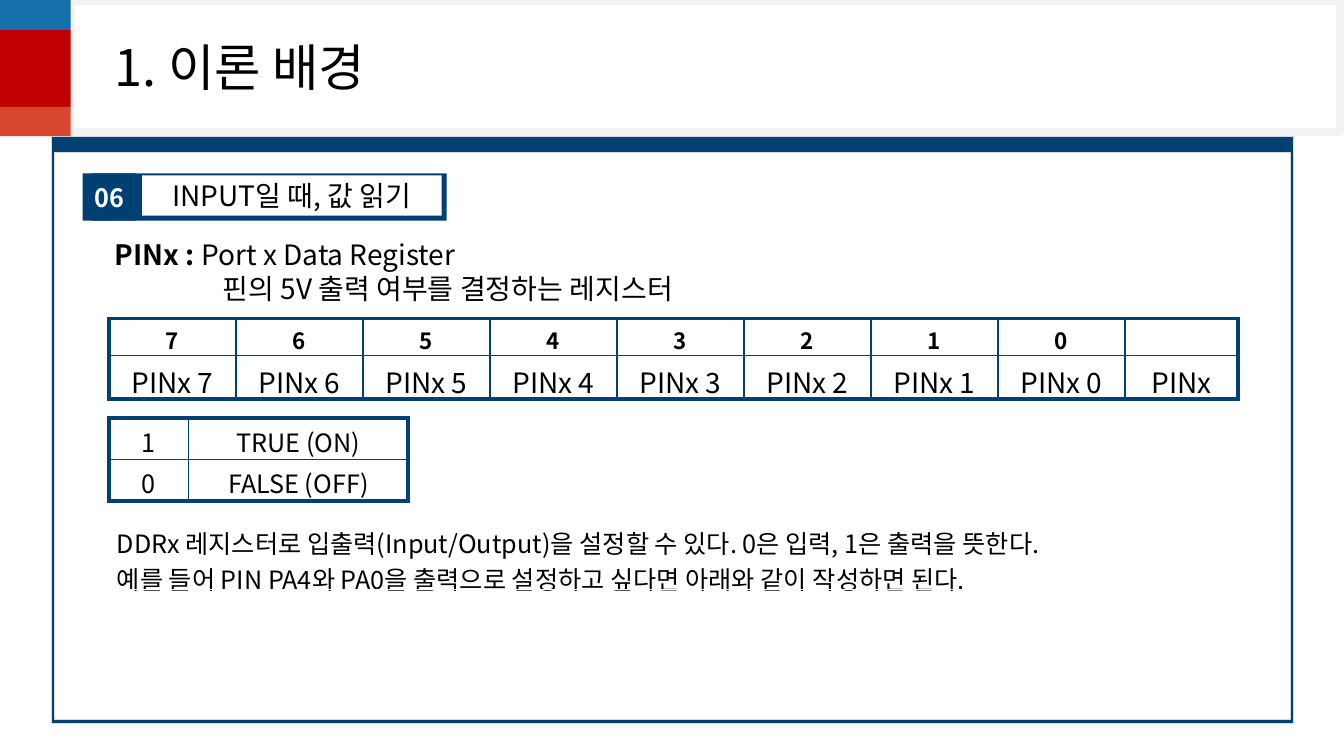
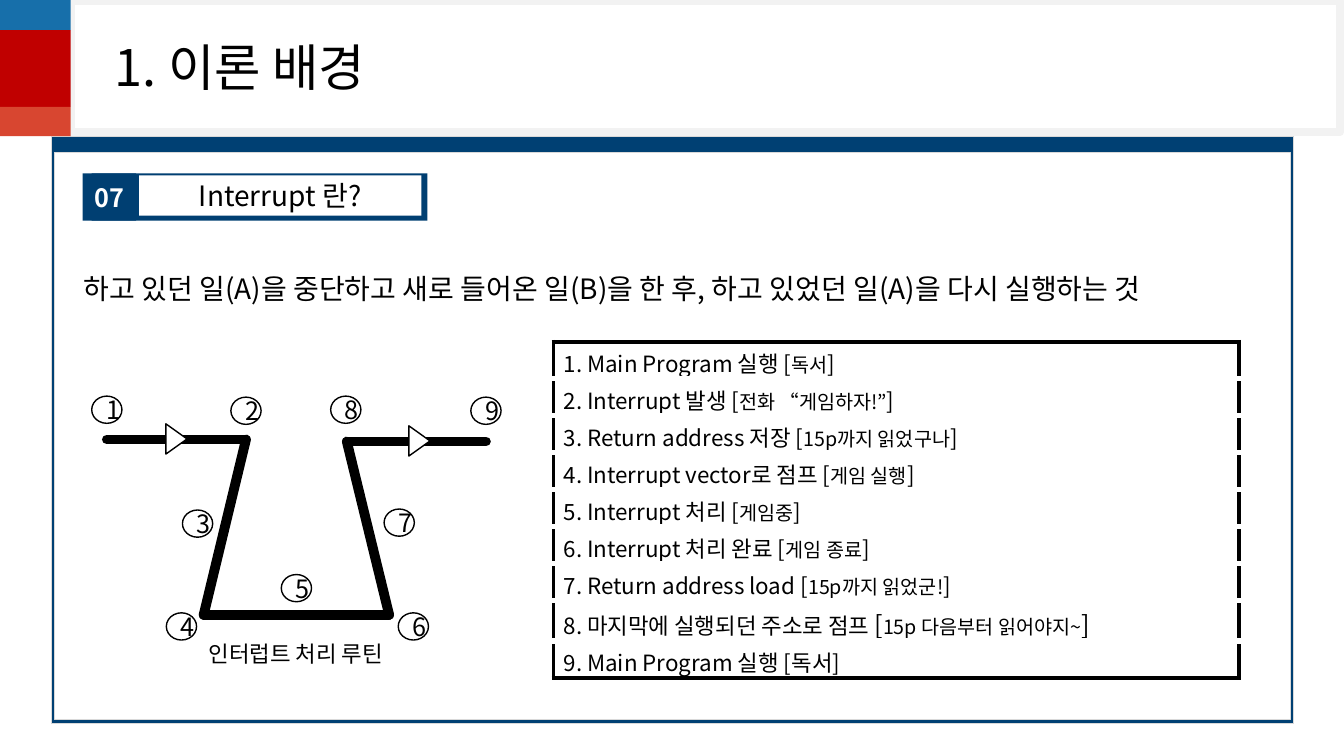
from itertools import pairwise

from lxml.etree import SubElement
from pptx import Presentation
from pptx.dml.color import RGBColor
from pptx.enum.shapes import MSO_CONNECTOR, MSO_SHAPE
from pptx.enum.text import MSO_ANCHOR, PP_ALIGN
from pptx.oxml.ns import qn
from pptx.util import Inches, Pt

FONT = "Noto Sans CJK KR"
COLORS = {
    "black": "000000", "white": "FFFFFF", "navy": "004073", "label": "003F72",
    "blue": "176FAA", "red": "C00000", "orange": "D84630",
    "title_line": "F2F2F2", "panel_line": "D9D9D9",
}


def color(name):
    return RGBColor.from_string(COLORS[name])


def write(para, spans, ink="black", align=PP_ALIGN.LEFT):
    """Fill a paragraph with spans given as (text, size) or (text, size, bold)."""
    para.alignment = align
    for text, size, *bold in spans:
        if not text:
            SubElement(para._p, qn("a:endParaRPr"), sz=str(size * 100))
            continue
        span = para.add_run()
        span.text = text
        span.font.size = Pt(size)
        span.font.bold = bool(bold and bold[0])
        span.font.color.rgb = color(ink)
        span.font.name = FONT
        SubElement(span.font._element, qn("a:ea"), typeface=FONT)


def add_box(page, place, fill=None, line=None, width=1, kind=MSO_SHAPE.RECTANGLE):
    box = page.shapes.add_shape(kind, *map(Inches, place))
    box.shadow.inherit = False
    if fill:
        box.fill.solid()
        box.fill.fore_color.rgb = color(fill)
    else:
        box.fill.background()
    if line:
        box.line.color.rgb = color(line)
        box.line.width = Pt(width)
    else:
        box.line.fill.background()
    box.text_frame.vertical_anchor = MSO_ANCHOR.MIDDLE
    return box


def add_text(page, place, anchor=MSO_ANCHOR.TOP):
    frame = page.shapes.add_textbox(*map(Inches, place)).text_frame
    frame.word_wrap = True
    frame.vertical_anchor = anchor
    return frame


def add_stroke(page, start, end):
    stroke = page.shapes.add_connector(
        MSO_CONNECTOR.STRAIGHT, *map(Inches, start + end))
    stroke.line.color.rgb = color("black")
    stroke.line.width = Pt(7)
    stroke.line._get_or_add_ln().set("cap", "rnd")
    SubElement(stroke._element.spPr, qn("a:effectLst"))


def set_borders(cell, borders):
    """Draw the left, right, top and bottom borders, each (colour, points)."""
    properties = cell._tc.get_or_add_tcPr()
    for side, (ink, width) in zip("LRTB", borders):
        line = SubElement(properties, qn(f"a:ln{side}"), w=str(Pt(width)))
        fill = SubElement(line, qn("a:solidFill"))
        SubElement(fill, qn("a:srgbClr"), val=COLORS[ink])


def add_grid(page, corner, columns, heights, rows, outer, inner,
             align=PP_ALIGN.CENTER, anchors=None):
    """Add a table; each cell is a list of paragraphs, each a list of spans."""
    size = (sum(columns), sum(heights))
    table = page.shapes.add_table(
        len(rows), len(columns), *map(Inches, corner + size)).table
    table.first_row = table.horz_banding = False
    for column, width in zip(table.columns, columns):
        column.width = Inches(width)
    last_row, last_column = len(rows) - 1, len(columns) - 1
    for r, row in enumerate(rows):
        table.rows[r].height = Inches(heights[r])
        for c, paragraphs in enumerate(row):
            cell = table.cell(r, c)
            if anchors:
                cell.vertical_anchor = anchors[r]
            edges = (c == 0, c == last_column, r == 0, r == last_row)
            set_borders(cell, [outer if edge else inner for edge in edges])
            cell.fill.background()
            frame = cell.text_frame
            for i, spans in enumerate(paragraphs):
                para = frame.add_paragraph() if i else frame.paragraphs[0]
                write(para, spans, align=align)


def add_page(deck, number, heading, label_width, heading_place):
    """Add a page with the title band, panel, colour strip and section label."""
    page = deck.slides.add_slide(deck.slide_layouts[6])
    add_box(page, (0.51, 1.35, 12.32, 5.83), "navy", "panel_line", 0.25)
    add_box(page, (0.54, 1.51, 12.26, 5.63), "white", "panel_line", 0.25)
    title = add_box(page, (0.7, 0.01, 12.59, 1.3), "white", "title_line", 6)
    title.text_frame.margin_left = Inches(0.44)
    write(title.text_frame.paragraphs[0], [("1. 이론 배경", 36)])

    add_box(page, (0.91, 1.72, label_width, 0.47), "label")
    left, width = heading_place
    name = add_box(page, (left, 1.74, width, 0.4), "white")
    write(name.text_frame.paragraphs[0], [(heading, 20)], align=PP_ALIGN.CENTER)
    badge = add_box(page, (0.82, 1.72, 0.53, 0.47), "label")
    write(badge.text_frame.paragraphs[0], [(number, 18, True)], "white",
          PP_ALIGN.CENTER)

    top = -0.01
    for fill, height in (("blue", 0.31), ("red", 0.76), ("orange", 0.29)):
        add_box(page, (-0.01, top, 0.71, height), fill)
        top += height
    return page


def add_register_page(deck):
    page = add_page(deck, "06", "INPUT일 때, 값 읽기", 3.52, (1.41, 2.97))
    frame = add_text(page, (1.04, 2.31, 6.67, 0.77))
    write(frame.paragraphs[0], [("PINx : ", 20, True), ("Port x Data Register", 20)])
    meaning = frame.add_paragraph()
    write(meaning, [("핀의 5V 출력 여부를 결정하는 레지스터", 20)])
    indent = str(Inches(1.07))
    meaning._p.get_or_add_pPr().set("marL", indent)

    outer, inner = ("navy", 3), ("navy", 1)
    states = [("1", "TRUE (ON)"), ("0", "FALSE (OFF)")]
    add_grid(page, (1.08, 4.15), [0.79, 2.18], [0.41] * 2,
             [[[[(text, 18)]] for text in row] for row in states], outer, inner)

    bits = [str(bit) for bit in range(7, -1, -1)]
    header = [[[(bit, 16, True)]] for bit in bits + [""]]
    pins = [[[(pin, 20)]] for pin in [f"PINx {bit}" for bit in bits] + ["PINx"]]
    add_grid(page, (1.08, 3.16), [1.26] * 8 + [1.12], [0.36, 0.43],
             [header, pins], outer, inner,
             anchors=(MSO_ANCHOR.BOTTOM, MSO_ANCHOR.TOP))

    notes = [
        "DDRx 레지스터로 입출력(Input/Output)을 설정할 수 있다. 0은 입력, 1은 출력을 뜻한다.",
        "예를 들어 PIN PA4와 PA0을 출력으로 설정하고 싶다면 아래와 같이 작성하면 된다.",
    ]
    add_grid(page, (1.06, 5.15), [11.22], [0.7],
             [[[[(note, 18)] for note in notes]]], ("white", 1), ("white", 1),
             PP_ALIGN.LEFT, [MSO_ANCHOR.MIDDLE])


def add_flow(page):
    """Draw the path from the main program through the interrupt and back."""
    route = [(1.06, 4.36), (2.44, 4.36), (2.02, 6.1),
             (3.86, 6.1), (3.44, 4.38), (4.82, 4.38)]
    for start, end in pairwise(route):
        add_stroke(page, start, end)
    for left, top in ((1.6, 4.25), (4.01, 4.27)):
        arrow = add_box(page, (left, top, 0.3, 0.21), "white", "black",
                        kind=MSO_SHAPE.ISOSCELES_TRIANGLE)
        arrow.rotation = 90
    caption = add_text(page, (1.8, 6.39, 2.27, 0.19), MSO_ANCHOR.MIDDLE)
    write(caption.paragraphs[0], [("인터럽트 처리 루틴", 16)], align=PP_ALIGN.CENTER)

    marks = [(0.91, 3.93), (2.29, 3.94), (1.81, 5.06), (1.65, 6.08), (2.79, 5.7),
             (3.95, 6.08), (3.81, 5.05), (3.28, 3.93), (4.67, 3.94)]
    for number, corner in enumerate(marks, 1):
        mark = add_box(page, corner + (0.3, 0.27), line="black", kind=MSO_SHAPE.OVAL)
        write(mark.text_frame.paragraphs[0], [(str(number), 18)],
              align=PP_ALIGN.CENTER)


def add_interrupt_page(deck):
    page = add_page(deck, "07", "Interrupt 란?", 3.33, (1.38, 2.8))
    sentence = add_text(page, (0.73, 2.31, 11.88, 0.67)).paragraphs[0]
    write(sentence, [("하고 있던 일(A)을 중단하고 새로 들어온 일(B)을 한 후, "
                      "하고 있었던 일(A)을 다시 실행하는 것", 20)],
          align=PP_ALIGN.JUSTIFY)
    sentence.line_spacing = 2.0
    add_flow(page)

    steps = [
        [("1. Main Program 실행 [", 16), ("독서", 14), ("]", 16)],
        [("2. Interrupt 발생 [", 16), ("전화 “게임하자!”", 14), ("]", 16)],
        [("3. Return address 저장 [", 16), ("15p까지 읽었구나", 14), ("]", 16)],
        [("4. Interrupt vector로 점프 [", 16), ("게임 실행", 14), ("]", 16)],
        [("5. Interrupt 처리 [", 16), ("게임중", 14), ("]", 16)],
        [("6. Interrupt 처리 완료 [", 16), ("게임 종료", 14), ("]", 16)],
        [("7. Return address load [", 16), ("15p까지 읽었군!", 14), ("]", 16)],
        [("8. 마지막에 실행되던 주소로 점프 ", 16), ("[", 18),
         ("15p 다음부터 읽어야지~", 14), ("]", 18)],
        [("9. Main Program 실행 [독서]", 16)],
    ]
    add_grid(page, (5.49, 3.39), [6.8], [0.36] * len(steps),
             [[[step]] for step in steps], ("black", 3), ("white", 4.5),
             PP_ALIGN.LEFT)


def main():
    deck = Presentation()
    deck.slide_width, deck.slide_height = Inches(13.33), Inches(7.5)
    add_register_page(deck)
    add_interrupt_page(deck)
    deck.save("out.pptx")


if __name__ == "__main__":
    main()
